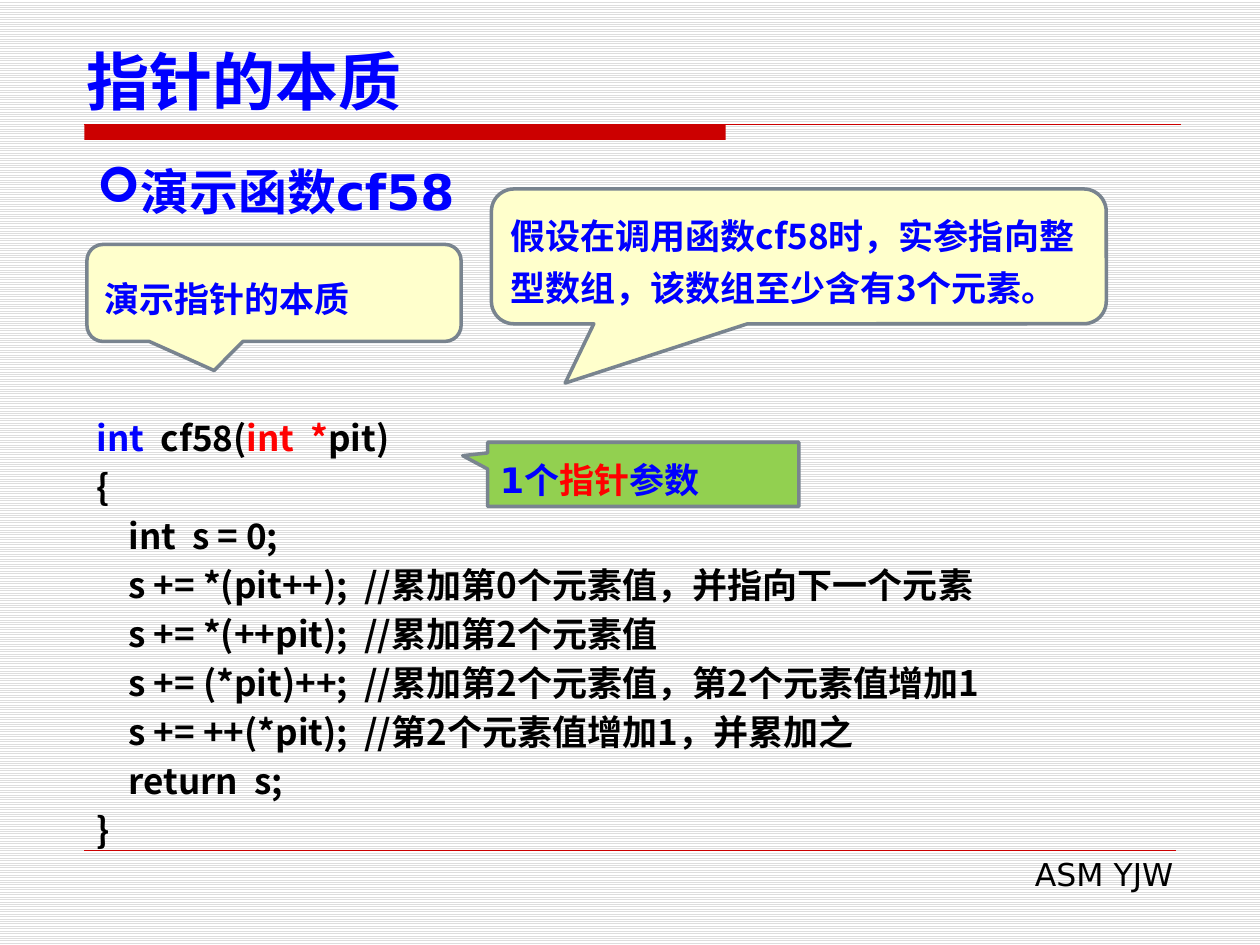
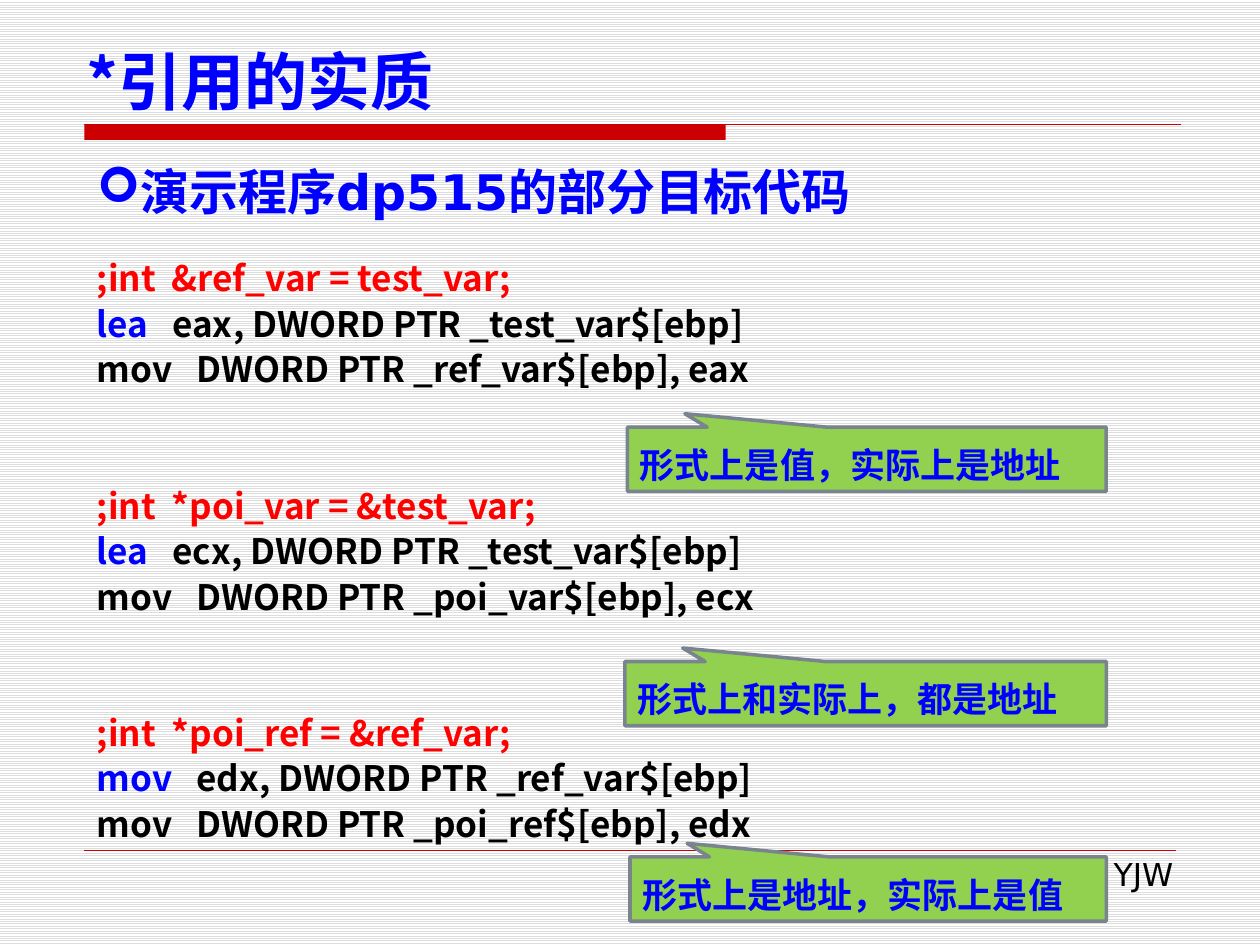
from lxml.etree import SubElement
from pptx import Presentation
from pptx.dml.color import RGBColor
from pptx.enum.dml import MSO_PATTERN
from pptx.enum.shapes import MSO_CONNECTOR, MSO_SHAPE
from pptx.enum.text import MSO_ANCHOR, PP_ALIGN
from pptx.oxml.ns import qn
from pptx.util import Inches, Pt

BLUE = RGBColor(0x00, 0x00, 0xFF)
RED = RGBColor(0xFF, 0x00, 0x00)
BLACK = RGBColor(0x00, 0x00, 0x00)
BAND_RED = RGBColor(0xCC, 0x00, 0x00)
STRIPE = RGBColor(0xDD, 0xDD, 0xDD)
WHITE = RGBColor(0xFF, 0xFF, 0xFF)
YELLOW = RGBColor(0xFF, 0xFF, 0xCC)
GREEN = RGBColor(0x92, 0xD0, 0x50)
OUTLINE = RGBColor(0x79, 0x84, 0x8F)

CHINESE_FONT = "Noto Sans CJK SC"
LATIN_FONT = "DejaVu Sans"

# Left, top, width, height in inches
TITLE_BOX = (0.59, 0.28, 9.06, 0.71)
BAND_BOX = (0.67, 0.99, 8.7, 0.12)
HEADING_BOX = (0.67, 1.23, 8.66, 0.57)
FOOTER_BOX = (0.67, 6.75, 8.66, 0.4)

POINTER_CODE = [
    [("int", BLUE), ("  cf58(", BLACK), ("int  *", RED), ("pit)", BLACK)],
    "{",
    "    int  s = 0;",
    "    s += *(pit++);  //累加第0个元素值，并指向下一个元素",
    "    s += *(++pit);  //累加第2个元素值",
    "    s += (*pit)++;  //累加第2个元素值，第2个元素值增加1",
    "    s += ++(*pit);  //第2个元素值增加1，并累加之",
    "    return  s;",
    "}",
]

# Source statement, first instruction, its operands, second instruction
REFERENCE_CODE = [
    (";int  &ref_var = test_var;", "lea   ", "eax, DWORD PTR _test_var$[ebp]",
     "mov   DWORD PTR _ref_var$[ebp], eax"),
    (";int  *poi_var = &test_var;", "lea   ", "ecx, DWORD PTR _test_var$[ebp]",
     "mov   DWORD PTR _poi_var$[ebp], ecx"),
    (";int  *poi_ref = &ref_var;", "mov   ", "edx, DWORD PTR _ref_var$[ebp]",
     "mov   DWORD PTR _poi_ref$[ebp], edx"),
]

REFERENCE_NOTES = [
    ("形式上是值，实际上是地址", (4.98, 3.39, 3.8, 0.51)),
    ("形式上和实际上，都是地址", (4.96, 5.25, 3.82, 0.51)),
    ("形式上是地址，实际上是值", (5, 6.8, 3.78, 0.51)),
]


def inches(box):
    return [Inches(length) for length in box]


def write_text(shape, lines, size=20, color=BLUE, font=CHINESE_FONT, bold=True,
               align=PP_ALIGN.LEFT, anchor=MSO_ANCHOR.TOP, spacing=None,
               bullet=None, gaps=None):
    """Each line is a string or a list of (text, color) runs; gaps maps a
    line number to its space before in points."""
    frame = shape.text_frame
    frame.word_wrap = True
    frame.vertical_anchor = anchor
    for number, line in enumerate(lines):
        paragraph = frame.paragraphs[0] if number == 0 else frame.add_paragraph()
        paragraph.alignment = align
        if spacing:
            paragraph.line_spacing = Pt(spacing)
        if gaps and number in gaps:
            paragraph.space_before = Pt(gaps[number])
        if bullet:
            properties = paragraph._p.get_or_add_pPr()
            SubElement(properties, qn("a:buFont"), typeface="Wingdings")
            SubElement(properties, qn("a:buChar"), char=bullet)
        runs = [(line, color)] if isinstance(line, str) else line
        for text, run_color in runs:
            run = paragraph.add_run()
            run.text = text
            run.font.size = Pt(size)
            run.font.bold = bold
            run.font.name = font
            run.font.color.rgb = run_color
            SubElement(run._r.get_or_add_rPr(), qn("a:ea"), typeface=CHINESE_FONT)


def add_text(slide, box, lines, **text_format):
    write_text(slide.shapes.add_textbox(*inches(box)), lines, **text_format)


def add_rule(slide, left, top, width, weight):
    line = slide.shapes.add_connector(
        MSO_CONNECTOR.STRAIGHT, *inches((left, top, left + width, top)))
    line.line.color.rgb = BAND_RED
    line.line.width = Pt(weight)
    SubElement(line._element.spPr, qn("a:effectLst"))


def add_filled_shape(slide, kind, box, fill):
    shape = slide.shapes.add_shape(kind, *inches(box))
    shape.shadow.inherit = False
    shape.fill.solid()
    shape.fill.fore_color.rgb = fill
    return shape


def add_band(slide, box):
    left, top, width, height = box
    bar = add_filled_shape(slide, MSO_SHAPE.RECTANGLE,
                           (left, top, 5.09, height), BAND_RED)
    bar.line.fill.background()
    add_rule(slide, left, top, width, 0.75)


def add_footer(slide, box):
    left, top, width, height = box
    add_rule(slide, left, top, width, 0.25)
    add_text(slide, (left + 3.15, top - 0.01, width - 3.07, height), ["ASM YJW"],
             size=18, color=BLACK, font=LATIN_FONT, bold=False,
             align=PP_ALIGN.RIGHT)


def add_callout(slide, kind, box, line, tip, fill, font=CHINESE_FONT):
    """tip is the pointer's offset from the centre, as shares of the size."""
    callout = add_filled_shape(slide, kind, box, fill)
    callout.line.color.rgb = OUTLINE
    callout.line.width = Pt(2)
    for index, offset in enumerate(tip):
        callout.adjustments[index] = offset
    write_text(callout, [line], font=font, anchor=MSO_ANCHOR.MIDDLE, spacing=30)


def add_round_note(slide, box, line, tip):
    add_callout(slide, MSO_SHAPE.ROUNDED_RECTANGULAR_CALLOUT, box, line, tip, YELLOW)


def add_square_note(slide, box, line, tip):
    add_callout(slide, MSO_SHAPE.RECTANGULAR_CALLOUT, box, line, tip, GREEN, LATIN_FONT)


def add_framed_slide(presentation, title, heading):
    slide = presentation.slides.add_slide(presentation.slide_layouts[6])
    background = slide.background.fill
    background.patterned()
    background.pattern = MSO_PATTERN.LIGHT_HORIZONTAL
    background.fore_color.rgb = STRIPE
    background.back_color.rgb = WHITE
    add_band(slide, BAND_BOX)
    add_footer(slide, FOOTER_BOX)
    add_text(slide, TITLE_BOX, [title], size=36, anchor=MSO_ANCHOR.BOTTOM)
    add_text(slide, HEADING_BOX, [heading], size=28, font=LATIN_FONT,
             align=PP_ALIGN.JUSTIFY, bullet="➢")
    return slide


def build_pointer_slide(presentation):
    slide = add_framed_slide(presentation, "指针的本质", "演示函数cf58")
    add_text(slide, (0.67, 3.2, 8.51, 3.64), POINTER_CODE, color=BLACK, spacing=28)
    add_round_note(slide, (0.69, 1.94, 2.97, 0.77), "演示指针的本质", (-0.16, 0.8))
    add_square_note(slide, (3.87, 3.51, 2.47, 0.51),
                    [("1个", BLUE), ("指针", RED), ("参数", BLUE)], (-0.58, -0.29))
    add_round_note(slide, (3.9, 1.5, 4.88, 1.07),
                   "假设在调用函数cf58时，实参指向整型数组，该数组至少含有3个元素。",
                   (-0.38, 0.94))


def build_reference_slide(presentation):
    slide = add_framed_slide(presentation, "*引用的实质", "演示程序dp515的部分目标代码")
    lines = []
    gaps = {}
    for statement, instruction, operands, store in REFERENCE_CODE:
        if lines:
            gaps[len(lines)] = 52
        lines += [[(statement, RED)],
                  [(instruction, BLUE), (operands, BLACK)],
                  [(store, BLACK)]]
    add_text(slide, (0.67, 1.96, 8.51, 4.84), lines, spacing=26, gaps=gaps)
    for note, box in REFERENCE_NOTES:
        add_square_note(slide, box, note, (-0.38, -0.71))


def main():
    presentation = Presentation()
    presentation.slide_width = Inches(10)
    presentation.slide_height = Inches(7.5)
    build_pointer_slide(presentation)
    build_reference_slide(presentation)
    presentation.save("out.pptx")


if __name__ == "__main__":
    main()
